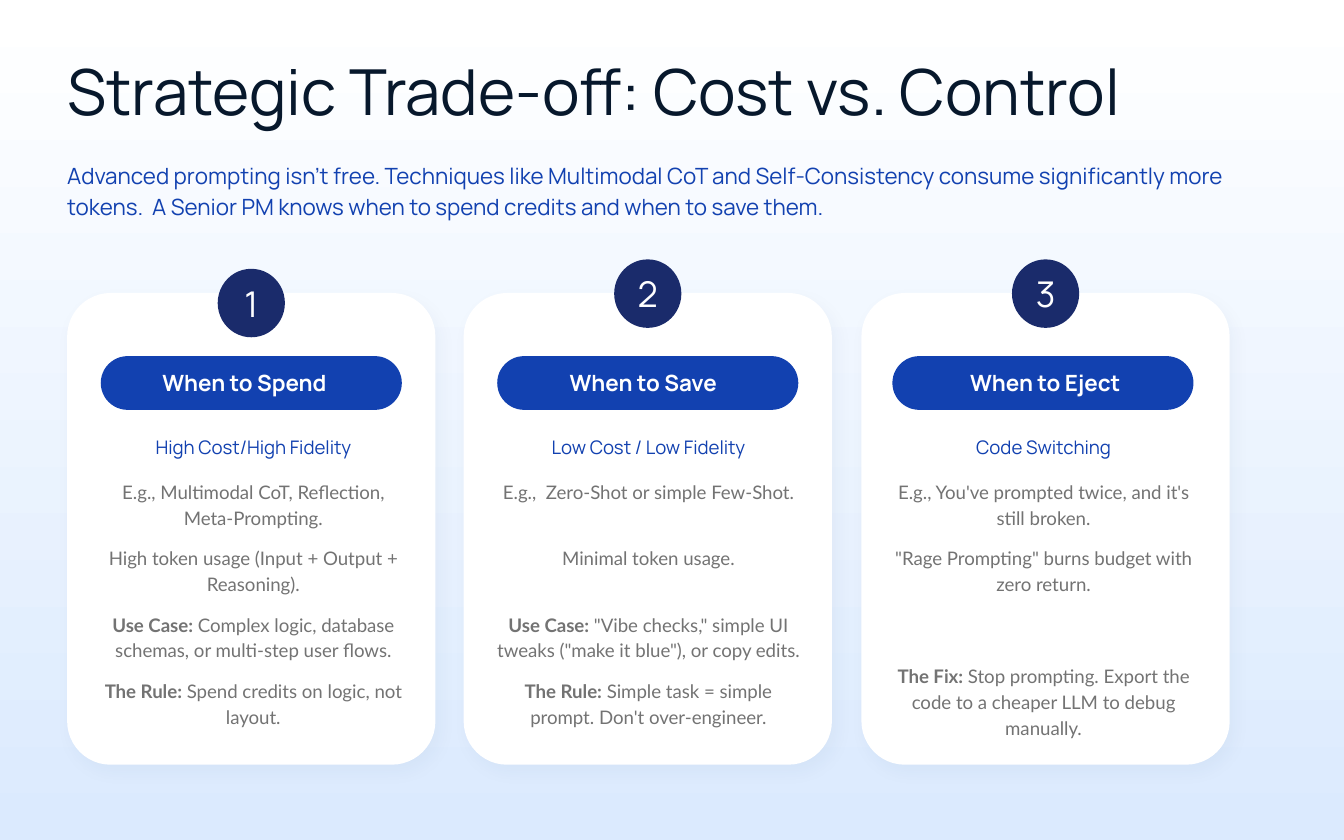
from dataclasses import dataclass

from lxml import etree
from pptx import Presentation
from pptx.dml.color import RGBColor
from pptx.enum.shapes import MSO_SHAPE
from pptx.enum.text import MSO_ANCHOR, MSO_AUTO_SIZE, PP_ALIGN
from pptx.oxml.ns import qn
from pptx.util import Pt

PX = 9144  # EMU per px, 100 px to the inch
ROUNDED, OVAL = MSO_SHAPE.ROUNDED_RECTANGLE, MSO_SHAPE.OVAL
LEFT, CENTER = PP_ALIGN.LEFT, PP_ALIGN.CENTER
TOP, MIDDLE = MSO_ANCHOR.TOP, MSO_ANCHOR.MIDDLE
GROW, FIXED = MSO_AUTO_SIZE.SHAPE_TO_FIT_TEXT, MSO_AUTO_SIZE.NONE


@dataclass(frozen=True)
class Theme:
    heading_font: str = "Manrope"
    body_font: str = "Lato"
    ink: str = "07182C"
    accent: str = "1241B0"
    badge: str = "1A2B6B"
    white: str = "FFFFFF"
    sky: str = "DBEAFE"
    muted: str = "737373"
    shadow: str = "103869"
    title_size: int = 34
    badge_size: int = 19
    lead_size: int = 12
    body_size: int = 10
    leading: float = 1.15
    body_line: float = 13.8  # points taken by one line of body text


@dataclass(frozen=True)
class Card:
    """Offsets are px from the card's left edge; points are (lines skipped, bold, plain)."""
    label: str
    label_offset: int
    label_width: int
    pill_offset: int
    body_offset: int
    subtitle: str
    points: tuple


CARDS = (
    Card("When to Spend", 61, 159, 25, 12, "High Cost/High Fidelity", (
        (0, "", "E.g., Multimodal CoT, Reflection, Meta-Prompting."),
        (0, "", "High token usage (Input + Output + Reasoning)."),
        (0, "Use Case:", " Complex logic, database schemas, or multi-step user flows."),
        (0, "The Rule:", " Spend credits on logic, not layout."),
    )),
    Card("When to Save", 69, 137, 25, 11, "Low Cost / Low Fidelity", (
        (0, "", "E.g.,  Zero-Shot or simple Few-Shot."),
        (1, "", "Minimal token usage."),
        (1, "Use Case:", ' "Vibe checks," simple UI tweaks ("make it blue"), or copy edits.'),
        (0, "The Rule:", " Simple task = simple prompt. Don't over-engineer."),
    )),
    Card("When to Eject", 71, 137, 23, 9, "Code Switching", (
        (0, "", "E.g., You've prompted twice, and it's still broken."),
        (0, "", '"Rage Prompting" burns budget with zero return.'),
        (2, "The Fix:", " Stop prompting. Export the code to a cheaper LLM to debug manually."),
    )),
)


def add_run(paragraph, text, *, size, color, font, bold=False):
    run = paragraph.add_run()
    run.text = text
    run.font.name = font
    run.font.size = Pt(size)
    run.font.bold = bold
    run.font.color.rgb = RGBColor.from_string(color)


class SlideBuilder:
    def __init__(self, slide, theme):
        self.slide = slide
        self.theme = theme

    def background(self):
        fill = self.slide.background.fill
        fill.gradient()
        fill.gradient_angle = 270
        for stop, color in zip(fill.gradient_stops, (self.theme.white, self.theme.sky)):
            stop.color.rgb = RGBColor.from_string(color)

    def shape(self, kind, left, top, width, height, color, corner=None):
        shape = self.slide.shapes.add_shape(kind, left * PX, top * PX, width * PX, height * PX)
        shape.shadow.inherit = False
        shape.fill.solid()
        shape.fill.fore_color.rgb = RGBColor.from_string(color)
        shape.line.fill.background()
        if corner is not None:
            shape.adjustments[0] = corner
        return shape

    def soft_shadow(self, shape):
        effects = shape._element.spPr.find(qn("a:effectLst"))
        shadow = etree.SubElement(effects, qn("a:outerShdw"), blurRad=str(Pt(9)),
                                  dist=str(Pt(4.5)), dir=str(59 * 60000),
                                  algn="bl", rotWithShape="0")
        color = etree.SubElement(shadow, qn("a:srgbClr"), val=self.theme.shadow)
        etree.SubElement(color, qn("a:alpha"), val="4000")

    def text_box(self, left, top, width, height, inset=0, bottom_inset=None,
                 anchor=TOP, fit=GROW):
        box = self.slide.shapes.add_textbox(left * PX, top * PX, width * PX, height * PX)
        frame = box.text_frame
        frame.word_wrap = True
        frame.auto_size = fit
        frame.vertical_anchor = anchor
        frame.margin_left = frame.margin_right = frame.margin_top = inset * PX
        frame.margin_bottom = (inset if bottom_inset is None else bottom_inset) * PX
        return frame

    def paragraph(self, frame, align=LEFT, leading=None, before=0, first=False):
        paragraph = frame.paragraphs[0] if first else frame.add_paragraph()
        paragraph.alignment = align
        if leading:
            paragraph.line_spacing = leading
        if before:
            paragraph.space_before = Pt(before)
        return paragraph

    def title(self, text):
        theme = self.theme
        frame = self.text_box(50, 52, 900, 89, bottom_inset=49, anchor=MIDDLE, fit=FIXED)
        add_run(self.paragraph(frame, leading=0.8, first=True), text,
                size=theme.title_size, color=theme.ink, font=theme.heading_font)

    def lead(self, text):
        theme = self.theme
        frame = self.text_box(50, 118, 900, 43)
        add_run(self.paragraph(frame, leading=theme.leading, first=True), text,
                size=theme.lead_size, color=theme.accent, font=theme.heading_font)

    def badge(self, number, left, top):
        theme = self.theme
        frame = self.shape(OVAL, left, top, 50, 51, theme.badge).text_frame
        frame.margin_left = frame.margin_right = 10 * PX
        frame.margin_top = frame.margin_bottom = 10 * PX
        frame.vertical_anchor = MIDDLE
        add_run(self.paragraph(frame, CENTER, first=True), str(number),
                size=theme.badge_size, color=theme.white, font=theme.heading_font)

    def card_body(self, card, left):
        theme = self.theme
        frame = self.text_box(left + card.body_offset, 312, 253, 248, inset=10)
        add_run(self.paragraph(frame, CENTER, theme.leading, first=True), card.subtitle,
                size=theme.body_size, color=theme.accent, font=theme.heading_font)
        for index, (skipped, bold, plain) in enumerate(card.points):
            gap = (8 if index else 10) + skipped * theme.body_line
            paragraph = self.paragraph(frame, CENTER, theme.leading, before=gap)
            style = dict(size=theme.body_size, color=theme.muted, font=theme.body_font)
            if bold:
                add_run(paragraph, bold, bold=True, **style)
            add_run(paragraph, plain, **style)

    def card(self, number, card, left, badge_top):
        theme = self.theme
        panel = self.shape(ROUNDED, left, 218, 274, 351, theme.white, corner=0.118)
        self.soft_shadow(panel)
        self.badge(number, left + (274 - 50) // 2, badge_top)
        self.card_body(card, left)
        self.shape(ROUNDED, left + card.pill_offset, 265, 224, 40, theme.accent, corner=0.5)
        label = self.text_box(left + card.label_offset, 265, card.label_width, 40, inset=10)
        add_run(self.paragraph(label, first=True), card.label, bold=True,
                size=theme.lead_size, color=theme.white, font=theme.heading_font)


def main():
    deck = Presentation()
    deck.slide_width, deck.slide_height = 1000 * PX, 625 * PX
    builder = SlideBuilder(deck.slides.add_slide(deck.slide_layouts[6]), Theme())
    builder.background()
    builder.title("Strategic Trade-off: Cost vs. Control")
    builder.lead("Advanced prompting isn't free. Techniques like Multimodal CoT and "
                 "Self-Consistency consume significantly more tokens.  A Senior PM knows "
                 "when to spend credits and when to save them.")
    for index, card in enumerate(CARDS):
        builder.card(index + 1, card, left=50 + 591 * index // 2,
                     badge_top=193 if index else 200)
    deck.save("out.pptx")


if __name__ == "__main__":
    main()
